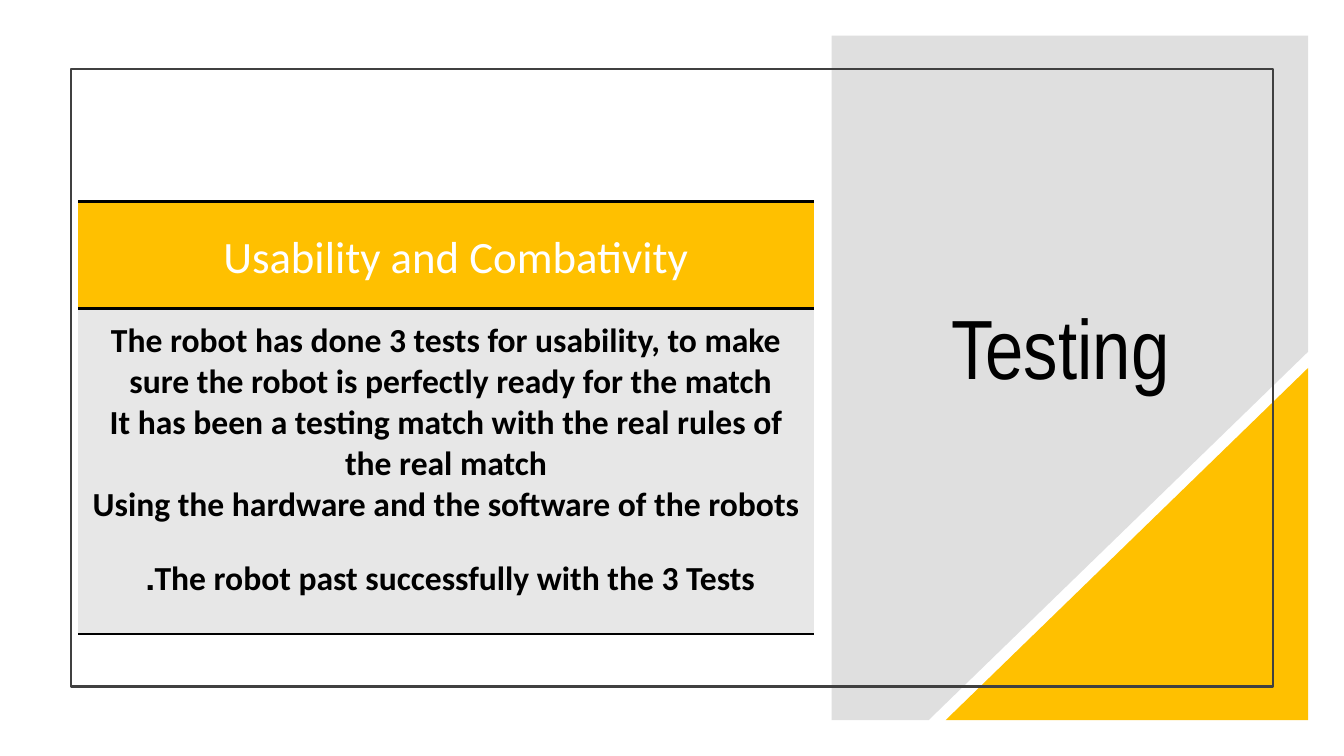
"""Build the slide on testing the robot."""
from lxml.etree import SubElement as Sub
from pptx import Presentation
from pptx.dml.color import RGBColor as RGB
from pptx.enum.shapes import MSO_SHAPE as Shape
from pptx.enum.text import MSO_ANCHOR as Anchor, PP_ALIGN as Align
from pptx.oxml.ns import qn
from pptx.util import Cm, Pt

BLACK = RGB(0, 0, 0)
WHITE = RGB(255, 255, 255)
GOLD = RGB(0xFF, 0xC0, 0x00)
GRAY = RGB(0x80, 0x80, 0x80)
PALE = RGB(0xE7, 0xE7, 0xE7)
DARK = RGB(0x40, 0x40, 0x40)
PLAIN = "{2D5ABB26-0587-4C30-8999-92F81FD0307C}"

TITLE = "Testing "
HEAD = "Usability and Combativity"
TESTS = [
    "The robot has done 3 tests for usability, to make sure the robot is perfectly ready for the match ",
    "It has been a testing match with the real rules of the real match",
    "Using the hardware and the software of the robots",
    "The robot past successfully with the 3 Tests. ",
]
ROWS = [
    {"lines": [HEAD], "size": 32, "bold": False, "ink": WHITE, "fill": GOLD,
     "high": 2.69, "left": 0.8, "anchor": Anchor.MIDDLE, "edges": ("T", "B")},
    {"lines": TESTS, "size": 24, "bold": True, "ink": BLACK, "fill": PALE,
     "high": 8.2, "left": 0.3, "anchor": Anchor.TOP, "edges": ("T", "B")},
]
PANEL = [(20.96, 0.9), (32.97, 0.9), (32.97, 8.86), (23.4, 18.15), (20.96, 18.15)]
CORNER = (23.83, 9.27, 9.14, 8.88)
FRAME = (1.79, 1.73, 30.3, 15.57)
HEADING = (22.3, 2.24, 9.32, 7.9)
GRID = (1.97, 5.08, 18.54, 10.89)


def box(spot):
    return [Cm(v) for v in spot]


def paint(shape, color):
    shape.shadow.inherit = False
    shape.fill.solid()
    shape.fill.fore_color.rgb = color
    shape.line.fill.background()


def add_panel(shapes):
    first, *rest = [box(p) for p in PANEL]
    pen = shapes.build_freeform(*first)
    pen.add_line_segments(rest)
    panel = pen.convert_to_shape()
    paint(panel, GRAY)
    tint = panel._element.spPr.find(qn("a:solidFill"))[0]
    Sub(tint, qn("a:alpha"), val="25000")


def add_corner(shapes):
    corner = shapes.add_shape(Shape.RIGHT_TRIANGLE, *box(CORNER))
    paint(corner, GOLD)
    corner._element.spPr.xfrm.set("flipH", "1")


def add_frame(shapes):
    frame = shapes.add_shape(Shape.RECTANGLE, *box(FRAME))
    frame.shadow.inherit = False
    frame.fill.background()
    frame.line.color.rgb = DARK
    frame.line.width = Pt(1.5)


def add_title(shapes):
    text = shapes.add_textbox(*box(HEADING)).text_frame
    text.word_wrap = True
    text.vertical_anchor = Anchor.BOTTOM
    par = text.paragraphs[0]
    par.text = TITLE
    par.alignment = Align.CENTER
    par.line_spacing = 0.9
    par.font.name, par.font.size = "Arial Narrow", Pt(60)
    par.font.color.rgb = BLACK


def add_edge(cell, side):
    props = cell._tc.get_or_add_tcPr()
    line = Sub(props, qn(f"a:ln{side}"), w=str(Pt(2)))
    fill = Sub(line, qn("a:solidFill"))
    Sub(fill, qn("a:srgbClr"), val=str(BLACK))


def fill_cell(cell, row):
    for side in row["edges"]:
        add_edge(cell, side)
    cell.fill.solid()
    cell.fill.fore_color.rgb = row["fill"]
    cell.vertical_anchor = row["anchor"]
    cell.margin_left = Cm(row["left"])
    cell.margin_right = cell.margin_top = Cm(0.3)
    cell.margin_bottom = Cm(0.15)
    cell.text = "\n".join(row["lines"])
    for par in cell.text_frame.paragraphs:
        par.alignment = Align.CENTER
        par._p.get_or_add_pPr().set("rtl", "1")
        font = par.font
        font.name, font.size, font.bold = "Calibri", Pt(row["size"]), row["bold"]
        font.color.rgb = row["ink"]


def add_grid(shapes):
    table = shapes.add_table(len(ROWS), 1, *box(GRID)).table
    table.first_row = table.horz_banding = False
    table._tbl.tblPr.find(qn("a:tableStyleId")).text = PLAIN
    for i, row in enumerate(ROWS):
        table.rows[i].height = Cm(row["high"])
        fill_cell(table.cell(i, 0), row)
    last = table.cell(1, 0).text_frame.paragraphs[-1]
    last.space_before = Pt(24)


def main():
    deck = Presentation()
    deck.slide_width, deck.slide_height = Cm(33.87), Cm(19.05)
    shapes = deck.slides.add_slide(deck.slide_layouts[6]).shapes
    for add in (add_panel, add_corner, add_frame, add_title, add_grid):
        add(shapes)
    deck.save("out.pptx")


if __name__ == "__main__":
    main()
